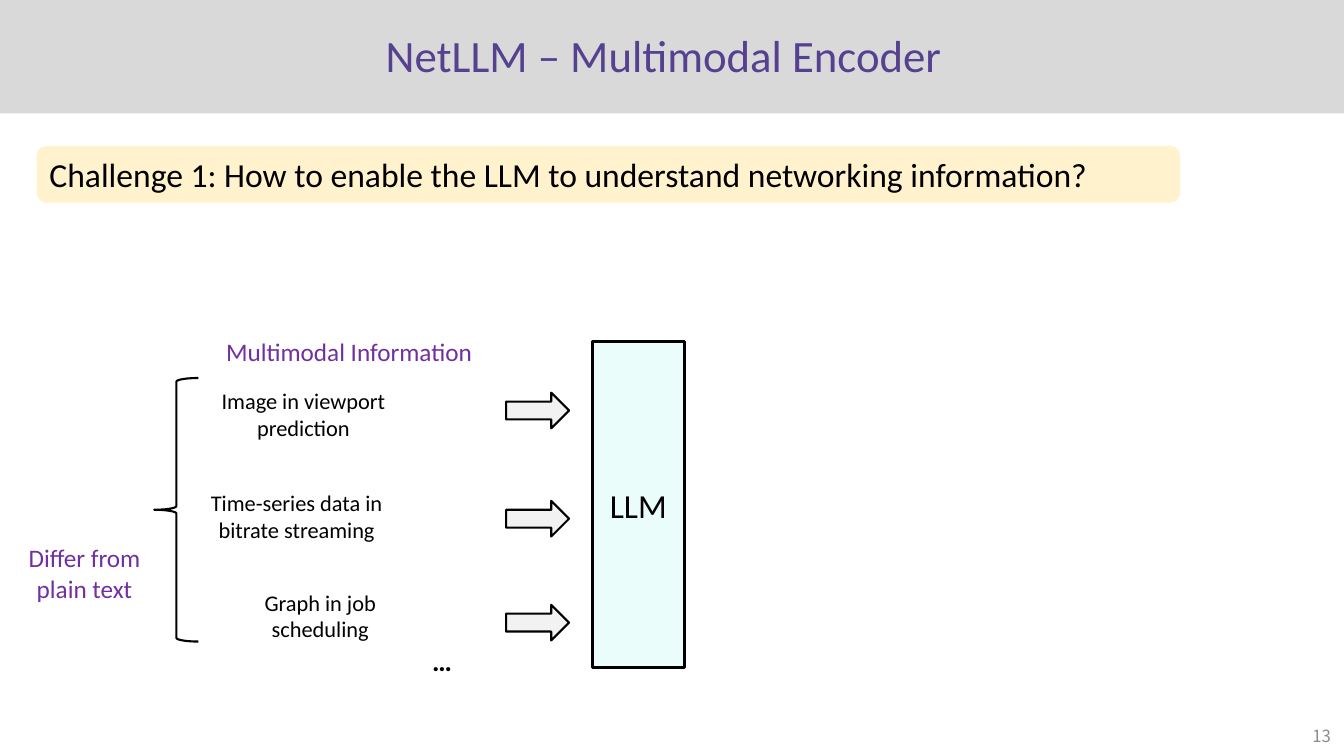
import pptx
import pptx.dml.color
import pptx.enum.shapes
import pptx.enum.text
import pptx.util

PX = 9525  # EMU in one px, 96 px to the inch
SHAPE = pptx.enum.shapes.MSO_SHAPE
ALIGN = pptx.enum.text.PP_ALIGN
ANCHOR = pptx.enum.text.MSO_ANCHOR
BLACK = "000000"
PURPLE = "7030A0"


def colour(hex_text):
    return pptx.dml.color.RGBColor.from_string(hex_text)


class Slide:
    """Holds the text style and the current page; boxes are (left, top, width, height) in px."""

    font = "Calibri"

    def __init__(self, deck):
        self.page = deck.slides.add_slide(deck.slide_layouts[5])

    def set_text(self, shape, text, size, ink=BLACK, align=ALIGN.CENTER,
                 anchor=ANCHOR.TOP, font=None, bold=False):
        frame = shape.text_frame
        frame.word_wrap = True
        frame.vertical_anchor = anchor
        para = frame.paragraphs[0]
        para.text = text
        para.alignment = align
        para.font.name = font or self.font
        para.font.size = pptx.util.Pt(size)
        para.font.bold = bold
        para.font.color.rgb = colour(ink)
        return para

    def title(self, box, text, size, ink):
        title = self.page.shapes.title
        title.left, title.top, title.width, title.height = (n * PX for n in box)
        para = self.set_text(title, text, size, ink, anchor=ANCHOR.MIDDLE)
        para.line_spacing = 0.9

    def label(self, box, text, size, **style):
        label = self.page.shapes.add_textbox(*(n * PX for n in box))
        self.set_text(label, text, size, **style)

    def shape(self, kind, box, fill=None, line=None):
        """Line is a width in points; without fill or line that part is left clear."""
        shape = self.page.shapes.add_shape(kind, *(n * PX for n in box))
        shape.shadow.inherit = False
        if fill:
            shape.fill.solid()
            shape.fill.fore_color.rgb = colour(fill)
        else:
            shape.fill.background()
        if line:
            shape.line.color.rgb = colour(BLACK)
            shape.line.width = pptx.util.Pt(line)
        else:
            shape.line.fill.background()
        return shape

    def band(self, box, fill):
        """Draw a bar behind the title."""
        band = self.shape(SHAPE.RECTANGLE, box, fill)
        self.page.shapes.title.element.addprevious(band.element)


def main():
    deck = pptx.Presentation()
    deck.slide_width, deck.slide_height = 1280 * PX, 720 * PX
    slide = Slide(deck)

    slide.band((0, 0, 1280, 108), "D9D9D9")
    slide.title((36, 2, 1202, 106), "NetLLM – Multimodal Encoder ", 32, "55418F")

    challenge = slide.shape(SHAPE.ROUNDED_RECTANGLE, (35, 139, 1089, 54), "FFF2CC")
    slide.set_text(challenge, "Challenge 1: How to enable the LLM to understand "
                   "networking information?", 24, align=ALIGN.LEFT)

    slide.label((188, 316, 289, 38), "Multimodal Information", 18, ink=PURPLE)
    inputs = [
        ("Image in viewport prediction", (189, 364, 200, 61), 374),
        ("Time-series data in bitrate streaming", (170, 461, 225, 61), 477),
        ("Graph in job scheduling", (217, 556, 176, 61), 576),
    ]
    for text, box, arrow_top in inputs:
        slide.label(box, text, 16)
        slide.shape(SHAPE.RIGHT_ARROW, (482, arrow_top, 60, 34), "F2F2F2", 1.5)
    slide.label((372, 608, 98, 42), "…", 20, bold=True)

    model = slide.shape(SHAPE.RECTANGLE, (564, 325, 88, 311), "EBFDFA", 2.25)
    slide.set_text(model, "LLM", 24, anchor=ANCHOR.MIDDLE)

    slide.shape(SHAPE.LEFT_BRACE, (147, 360, 42, 251), line=1.5)
    slide.label((1, 512, 159, 68), "Differ from plain text", 18, ink=PURPLE)

    slide.label((989, 682, 288, 38), "13", 12, ink="8C8C8C", align=ALIGN.RIGHT,
                anchor=ANCHOR.MIDDLE, font="Noto Sans CJK SC")

    deck.save("out.pptx")


if __name__ == "__main__":
    main()
